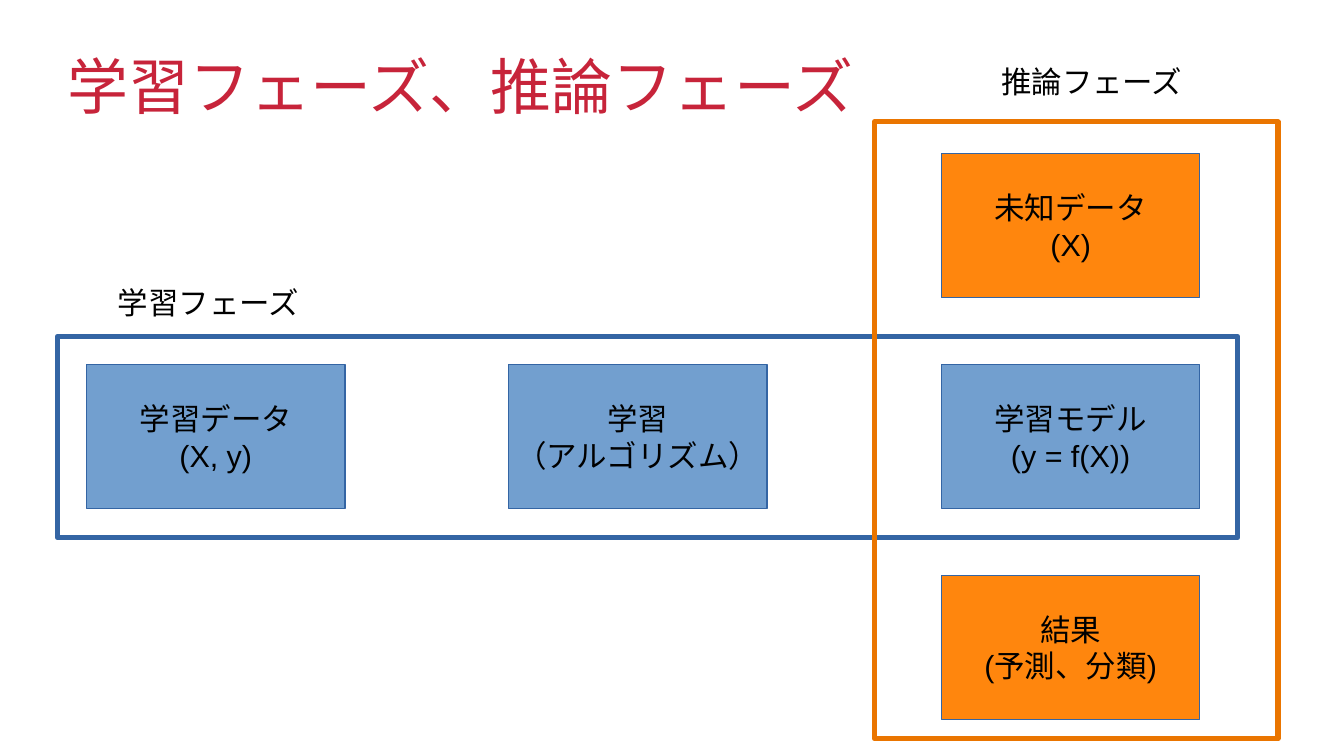
import pptx
import pptx.util
import pptx.dml.color
import pptx.enum.shapes
import pptx.enum.text
import lxml.etree

Pt = pptx.util.Pt
MSO_ANCHOR = pptx.enum.text.MSO_ANCHOR
PP_ALIGN = pptx.enum.text.PP_ALIGN

THEME = {
    "title": "C7243A", "text": "000000",
    "blue": "729FCF", "blue_line": "3465A4",
    "orange": "FF860D", "orange_line": "EA7500",
    "title_size": 36, "body_size": 18,
    "latin": "Arial", "cjk": "Noto Sans CJK JP",
}

TITLE = "学習フェーズ、推論フェーズ"
BOXES = [
    (0, 1, "blue", ["学習データ", "(X, y)"]),
    (1, 1, "blue", ["学習", "（アルゴリズム）"]),
    (2, 1, "blue", ["学習モデル", "(y = f(X))"]),
    (2, 0, "orange", ["未知データ", "(X)"]),
    (2, 2, "orange", ["結果", "(予測、分類)"]),
]
PHASES = [
    ("学習フェーズ", (62.6, 164.2), (33.8, 198.7, 697, 118.8), "blue_line"),
    ("推論フェーズ", (583.9, 33.8), (516.2, 72, 238.3, 364.3), "orange_line"),
]

COLUMNS = (51.1, 300.2, 555.8)
ROW_TOP, ROW_STEP = 90.7, 124.56
BOX_W, BOX_H = 152.6, 85
LABEL_W, LABEL_H = 158.4, 28.8


def rgb(key):
    return pptx.dml.color.RGBColor.from_string(THEME[key])


def write(tf, lines, size, color, font, align=PP_ALIGN.LEFT):
    for i, line in enumerate(lines):
        p = tf.paragraphs[0] if i == 0 else tf.add_paragraph()
        r = p.add_run()
        r.text = line
        p.alignment = align
        p.font.size = Pt(THEME[size])
        p.font.color.rgb = rgb(color)
        p.font.name = THEME[font]
        latin = p._p.pPr.find(".//" + pptx.oxml.ns.qn("a:latin"))
        ea = lxml.etree.Element(pptx.oxml.ns.qn("a:ea"), typeface=THEME["cjk"])
        latin.addnext(ea)


def add_text(s, rect, lines, size, color, font):
    tf = s.shapes.add_textbox(*map(Pt, rect)).text_frame
    tf.word_wrap = True
    write(tf, lines, size, color, font)
    return tf


def add_rect(s, rect, line, width, fill=None):
    kind = pptx.enum.shapes.MSO_SHAPE.RECTANGLE
    sp = s.shapes.add_shape(kind, *map(Pt, rect))
    sp.shadow.inherit = False
    if fill:
        sp.fill.solid()
        sp.fill.fore_color.rgb = rgb(fill)
    else:
        sp.fill.background()
    sp.line.color.rgb = rgb(line)
    sp.line.width = Pt(width)
    return sp


prs = pptx.Presentation()
prs.slide_width, prs.slide_height = Pt(793.44), Pt(446.4)
s = prs.slides.add_slide(prs.slide_layouts[6])

tf = add_text(s, (39.6, 28.8, 714.2, 43.2), [TITLE], "title_size", "title", "cjk")
tf.vertical_anchor = MSO_ANCHOR.MIDDLE
tf.margin_left = tf.margin_right = tf.margin_top = tf.margin_bottom = 0

for col, row, fill, lines in BOXES:
    rect = (COLUMNS[col], ROW_TOP + row * ROW_STEP, BOX_W, BOX_H)
    tf = add_rect(s, rect, "blue_line", 0.75, fill).text_frame
    tf.word_wrap = False
    tf.vertical_anchor = MSO_ANCHOR.MIDDLE
    write(tf, lines, "body_size", "text", "latin", PP_ALIGN.CENTER)

for label, (left, top), frame, line in PHASES:
    add_rect(s, frame, line, 3)
    add_text(s, (left, top, LABEL_W, LABEL_H), [label], "body_size", "text", "latin")

prs.save("out.pptx")
